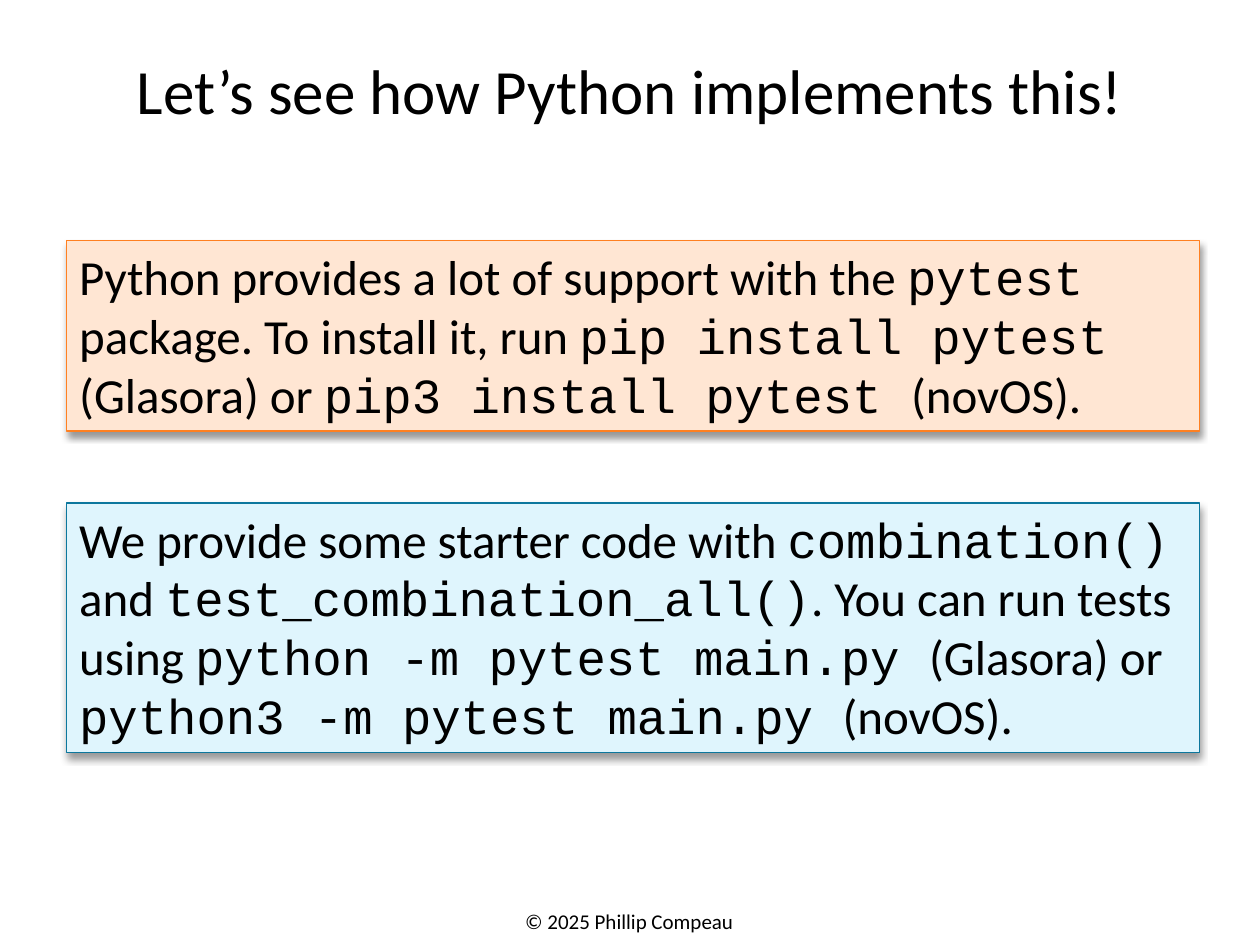
from dataclasses import dataclass

from lxml import etree
from pptx import Presentation
from pptx import util as u
from pptx.dml.color import RGBColor
from pptx.enum import shapes, text
from pptx.oxml import ns
from pptx.shapes.autoshape import Shape
from pptx.slide import Slide
from pptx.text.text import TextFrame

BLACK = RGBColor(0x00, 0x00, 0x00)
PEACH = RGBColor(0xFF, 0xE6, 0xD3)
ORANGE = RGBColor(0xFF, 0x80, 0x21)
PALE_BLUE = RGBColor(0xDF, 0xF5, 0xFD)
TEAL = RGBColor(0x0C, 0x77, 0x9D)

BODY_FONT = "Calibri"
CODE_FONT = "Courier New"


@dataclass(frozen=True)
class Callout:
    top: float
    height: float
    fill: RGBColor
    line: RGBColor
    prose_and_code: tuple[str, ...]


CALLOUTS = (
    Callout(1.91, 1.51, PEACH, ORANGE, (
        "Python provides a lot of support with the ", "pytest",
        " package. To install it, run ", "pip install pytest ",
        "(Glasora) or ", "pip3 install pytest ", "(novOS).",
    )),
    Callout(3.99, 1.98, PALE_BLUE, TEAL, (
        "We provide some starter code with ", "combination()",
        " and ", "test_combination_all()",
        ". You can run tests using ", "python -m pytest main.py ",
        "(Glasora) or ", "python3 -m pytest main.py ", "(novOS).",
    )),
)


def add_drop_shadow(shape: Shape) -> None:
    shape.shadow.inherit = False
    effects = shape._element.spPr.find(ns.qn("a:effectLst"))
    shadow = etree.SubElement(
        effects, ns.qn("a:outerShdw"), blurRad=str(u.Pt(4)), dist=str(u.Pt(3)),
        dir=str(90 * 60000), rotWithShape="0",
    )
    color = etree.SubElement(shadow, ns.qn("a:srgbClr"), val=str(BLACK))
    etree.SubElement(color, ns.qn("a:alpha"), val="40000")


def write_centered(frame: TextFrame, words: str, size: float) -> None:
    frame.word_wrap = True
    frame.vertical_anchor = text.MSO_ANCHOR.MIDDLE
    paragraph = frame.paragraphs[0]
    paragraph.text = words
    paragraph.alignment = text.PP_ALIGN.CENTER
    paragraph.font.name = BODY_FONT
    paragraph.font.size = u.Pt(size)
    paragraph.font.color.rgb = BLACK


def add_callout(slide: Slide, callout: Callout) -> None:
    shape = slide.shapes.add_shape(
        shapes.MSO_SHAPE.RECTANGLE, u.Inches(0.53), u.Inches(callout.top),
        u.Inches(8.99), u.Inches(callout.height),
    )
    shape.fill.solid()
    shape.fill.fore_color.rgb = callout.fill
    shape.line.color.rgb = callout.line
    shape.line.width = u.Pt(0.75)
    add_drop_shadow(shape)

    frame = shape.text_frame
    frame.word_wrap = True
    frame.auto_size = text.MSO_AUTO_SIZE.SHAPE_TO_FIT_TEXT
    frame.vertical_anchor = text.MSO_ANCHOR.TOP
    paragraph = frame.paragraphs[0]
    paragraph.alignment = text.PP_ALIGN.LEFT
    paragraph.font.size = u.Pt(28)
    paragraph.font.color.rgb = BLACK
    for index, words in enumerate(callout.prose_and_code):
        run = paragraph.add_run()
        run.text = words
        run.font.name = CODE_FONT if index % 2 else BODY_FONT


def main() -> None:
    presentation = Presentation()
    presentation.slide_width = u.Inches(10)
    presentation.slide_height = u.Inches(7.49)
    slide = presentation.slides.add_slide(presentation.slide_layouts[5])

    title = slide.shapes.title
    title.left, title.top = u.Inches(0.5), u.Inches(0.08)
    title.width, title.height = u.Inches(9), u.Inches(1.25)
    write_centered(title.text_frame, "Let’s see how Python implements this!", 36)

    footer = slide.shapes.add_textbox(
        u.Inches(2.83), u.Inches(7.11), u.Inches(4.33), u.Inches(0.4)
    )
    write_centered(footer.text_frame, "© 2025 Phillip Compeau", 12)

    for callout in CALLOUTS:
        add_callout(slide, callout)

    presentation.save("out.pptx")


if __name__ == "__main__":
    main()
